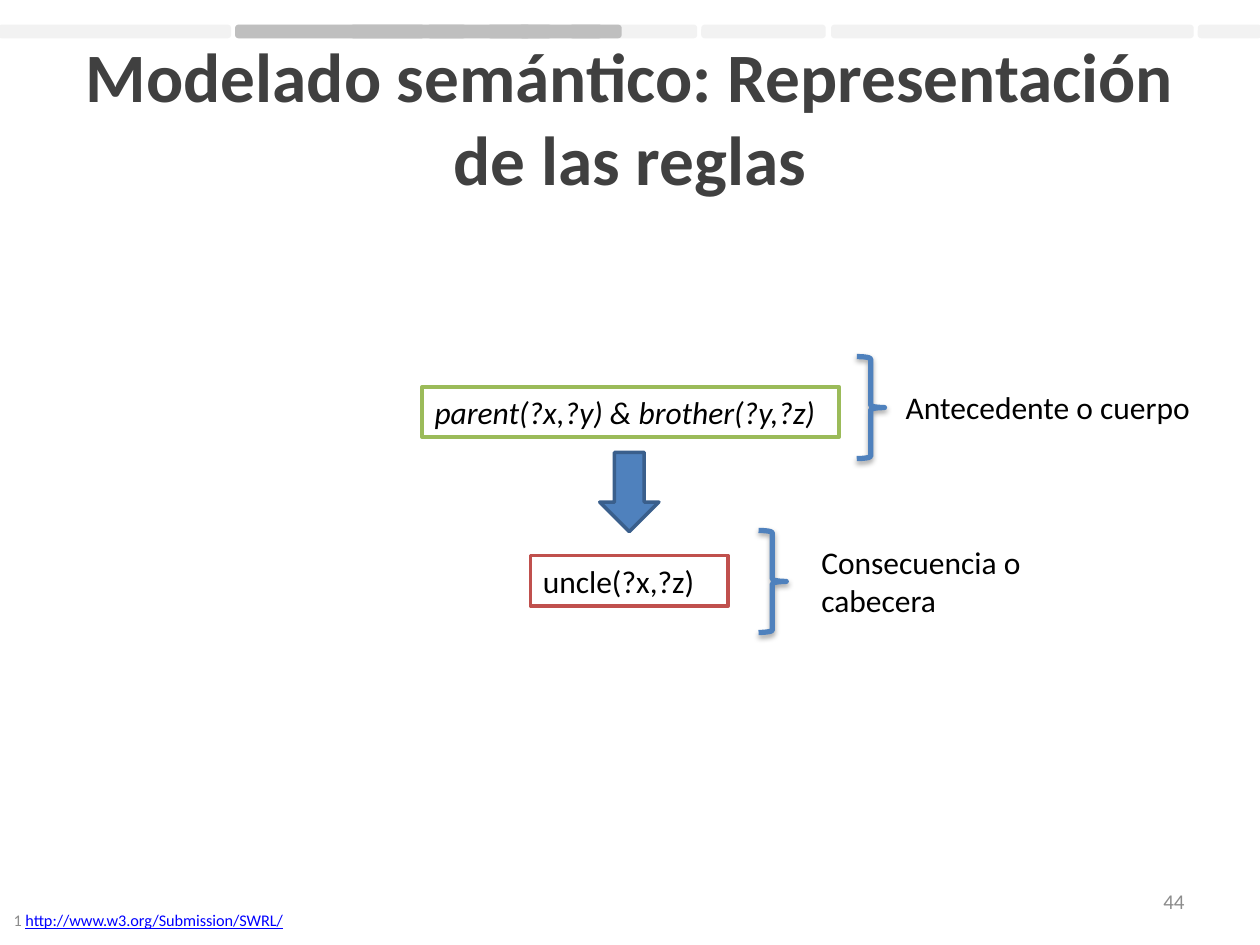
from pptx import Presentation
from pptx import util as u
from pptx.dml.color import RGBColor
from pptx.enum import shapes as s, text as t
from pptx.oxml import parse_xml
from pptx.oxml.ns import nsdecls

HUES = {"pale": "F2F2F2", "mid": "BFBFBF", "title": "404040", "note": "8C8C8C",
        "link": "0000FF", "ink": "000000", "white": "FFFFFF", "green": "9BBB59",
        "red": "C0504D", "blue": "4F81BD", "navy": "3A5F8C"}
KIND = s.MSO_SHAPE
MID = t.MSO_ANCHOR.MIDDLE

deck = Presentation()
deck.slide_width, deck.slide_height = u.Inches(10), u.Inches(7.5)
col, row = deck.slide_width / 100, deck.slide_height / 75
slide = deck.slides.add_slide(deck.slide_layouts[5])


def draw(kind, x, y, w, h, fill, line, width=2):
    box = slide.shapes.add_shape(kind, int(x * col), int(y * row), int(w * col), int(h * row))
    box.shadow.inherit = False
    if fill:
        box.fill.solid()
        box.fill.fore_color.rgb = RGBColor.from_string(HUES[fill])
    else:
        box.fill.background()
    box.line.color.rgb = RGBColor.from_string(HUES[line])
    box.line.width = u.Pt(width)
    return box


def style(run, size, hue):
    run.font.name = "Calibri"
    run.font.size = u.Pt(size)
    run.font.color.rgb = RGBColor.from_string(HUES[hue])
    return run.font


bars = [("pale", 0, 18.2), ("pale", 18.8, 36.4), ("pale", 55.8, 9.6),
        ("pale", 66.1, 28.5), ("pale", 95.2, 4.8),
        ("mid", 41.3, 6.4), ("mid", 45.3, 3.9), ("mid", 18.8, 14.8),
        ("mid", 27.9, 9), ("mid", 34, 8), ("mid", 38.8, 4.9)]
for hue, x, w in bars:
    draw(KIND.ROUNDED_RECTANGLE, x, 2.1, w, 0.8, hue, hue)

title = slide.shapes.title
title.left, title.top = int(5 * col), int(3 * row)
title.width, title.height = int(90 * col), int(12.5 * row)
title.text_frame.text = "Modelado semántico: Representación de las reglas"
title.text_frame.vertical_anchor = MID
title.text_frame.paragraphs[0].alignment = t.PP_ALIGN.CENTER
style(title.text_frame.paragraphs[0].runs[0], 39.6, "title").bold = True

rules = [("parent(?x,?y) & brother(?y,?z)", 33.5, 30.7, 33.1, "green", True),
         ("uncle(?x,?z)", 42.1, 44.1, 15.7, "red", False)]
for words, x, y, w, hue, slant in rules:
    box = draw(KIND.RECTANGLE, x, y, w, 4, "white", hue)
    frame = box.text_frame
    frame.text = words
    frame.word_wrap = True
    frame.vertical_anchor = t.MSO_ANCHOR.TOP
    frame.paragraphs[0].alignment = t.PP_ALIGN.LEFT
    style(frame.paragraphs[0].runs[0], 18, "ink").italic = slant

draw(KIND.DOWN_ARROW, 47.6, 35.9, 4.7, 6.3, "blue", "navy")

for x, y in [(68, 28.3), (60.2, 42.1)]:
    brace = draw(KIND.RIGHT_BRACE, x, y, 2.2, 8.1, None, "blue", 3)
    props = brace.element.spPr
    for glow in props.findall("{*}effectLst"):
        props.remove(glow)
    props.append(parse_xml(
        f'<a:effectLst {nsdecls("a")}><a:outerShdw blurRad="{u.Pt(3.1)}" '
        f'dist="{u.Pt(1.8)}" dir="5400000" rotWithShape="0"><a:srgbClr val="{HUES["ink"]}">'
        '<a:alpha val="35000"/></a:srgbClr></a:outerShdw></a:effectLst>'))

LEFT, RIGHT = t.PP_ALIGN.LEFT, t.PP_ALIGN.RIGHT
TOP = t.MSO_ANCHOR.TOP
labels = [(["Antecedente o cuerpo"], 70.9, 30.3, 26, 4, 18, ["ink"], LEFT, TOP),
          (["Consecuencia o cabecera"], 64.2, 42.6, 26, 7.1, 18, ["ink"], LEFT, TOP),
          (["44"], 71.7, 69.5, 23.3, 4, 12, ["note"], RIGHT, MID),
          (["1 ", "http://www.w3.org/Submission/SWRL/"], 0.1, 71.7, 45.7, 3.3, 16,
           ["note", "link"], LEFT, MID)]
for parts, x, y, w, h, size, hues, side, anchor in labels:
    box = slide.shapes.add_textbox(int(x * col), int(y * row), int(w * col), int(h * row))
    frame = box.text_frame
    frame.word_wrap = True
    frame.vertical_anchor = anchor
    para = frame.paragraphs[0]
    para.alignment = side
    for words, hue in zip(parts, hues):
        run = para.add_run()
        run.text = words
        font = style(run, size, hue)
        if len(parts) > 1:
            run.font._element.set("baseline", "30000")
        if hue == "link":
            font.underline = True

deck.save("out.pptx")
